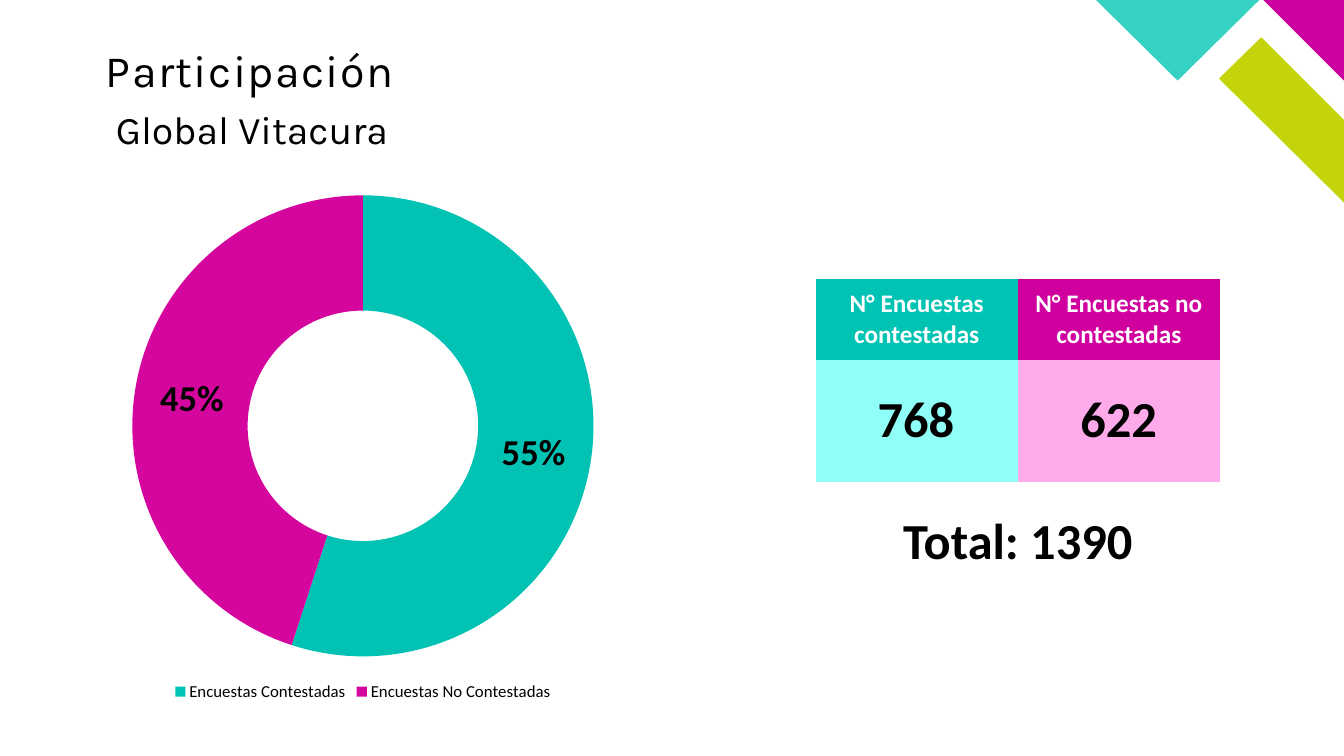
"""Build the Vitacura survey participation slide."""
from pptx import Presentation
from pptx.chart.data import CategoryChartData
from pptx.dml.color import RGBColor
from pptx.enum.chart import XL_CHART_TYPE, XL_LEGEND_POSITION
from pptx.enum.text import MSO_ANCHOR, MSO_AUTO_SIZE, PP_ALIGN
from pptx.util import Inches, Pt


def paint(target, color):
    target.fill.solid()
    target.fill.fore_color.rgb = RGBColor.from_string(color)


def write(frame, text, size, font="Calibri", color="000000", bold=False, align=PP_ALIGN.LEFT, spacing=0.9):
    para = frame.paragraphs[0]
    para.alignment = align
    para.line_spacing = spacing
    span = para.add_run()
    span.text = text
    span.font.name = font
    span.font.size = Pt(size)
    span.font.bold = bold
    span.font.color.rgb = RGBColor.from_string(color)
    return span


deck = Presentation()
deck.slide_width = Inches(13.33)
deck.slide_height = Inches(7.5)
page = deck.slides.add_slide(deck.slide_layouts[5])

corner_pieces = [
    ("C4D40A", [(13.33, 2.01), (13.33, 1.19), (12.51, 0.37), (12.09, 0.78)]),
    ("CE009F", [(13.33, 0.8), (13.33, 0), (12.53, 0)]),
    ("35D2C4", [(10.87, 0), (11.68, 0.8), (12.49, 0)]),
]
for color, points in corner_pieces:
    corners = [(Inches(x), Inches(y)) for x, y in points]
    builder = page.shapes.build_freeform(*corners[0])
    builder.add_line_segments(corners[1:], close=True)
    piece = builder.convert_to_shape()
    piece.shadow.inherit = False
    piece.line.fill.background()
    paint(piece, color)

title = page.shapes.title
title.left, title.top = Inches(1.05), Inches(0.48)
title.width, title.height = Inches(5.61), Inches(0.67)
frame = title.text_frame
frame.margin_left = frame.margin_right = frame.margin_top = frame.margin_bottom = 0
frame.auto_size = MSO_AUTO_SIZE.NONE
frame.vertical_anchor = MSO_ANCHOR.TOP
span = write(frame, "Participación", 32, "Karla")
span.font._element.set("spc", "100")

subtitle = page.shapes.add_textbox(Inches(1.05), Inches(1.05), Inches(9.78), Inches(0.96))
subtitle.text_frame.word_wrap = True
write(subtitle.text_frame, "Global Vitacura", 28, "Karla")

survey = CategoryChartData(number_format="0%")
survey.categories = ["Encuestas Contestadas", "Encuestas No Contestadas"]
survey.add_series("Series 1", (0.55, 0.45))
chart = page.shapes.add_chart(
    XL_CHART_TYPE.DOUGHNUT, Inches(1), Inches(1.8), Inches(5.2), Inches(5.2), survey
).chart
chart.has_title = False
chart.font.name = "Calibri"
chart.font.size = Pt(18)
chart.has_legend = True
chart.legend.position = XL_LEGEND_POSITION.BOTTOM
chart.legend.include_in_layout = False
chart.legend.font.size = Pt(12)
chart.legend.font.color.rgb = RGBColor.from_string("000000")
plot = chart.plots[0]
plot.vary_by_categories = True
for index, color in enumerate(["01C2B3", "D4069D"]):
    paint(plot.series[0].points[index].format, color)
labels = plot.series[0].data_labels
labels.show_value = True
labels.show_percentage = False
labels.show_category_name = False
labels.show_legend_key = False
labels.number_format = "0%"
labels.number_format_is_linked = False
labels.font.size = Pt(26)
labels.font.bold = True
labels.font.color.rgb = RGBColor.from_string("000000")

table_frame = page.shapes.add_table(2, 2, Inches(8.09), Inches(2.77), Inches(4.01), Inches(2.01))
table = table_frame.table
table._tbl.tblPr.find("{*}tableStyleId").text = "{2D5ABB26-0587-4C30-8999-92F81FD0307C}"
table.rows[0].height = Inches(0.8)
table.rows[1].height = Inches(1.21)
headings = [
    ("N° Encuestas contestadas", "00C3B3", "8FFFF7"),
    ("N° Encuestas no contestadas", "D0009E", "FFABEB"),
]
for column, (heading, heading_fill, count_fill) in enumerate(headings):
    cell = table.cell(0, column)
    cell.vertical_anchor = MSO_ANCHOR.MIDDLE
    paint(cell, heading_fill)
    write(cell.text_frame, heading, 18, color="FFFFFF", bold=True, align=PP_ALIGN.CENTER, spacing=1)
    paint(table.cell(1, column), count_fill)

figures = [("768", 8.09, 3.57, 1.99), ("622", 10.1, 3.57, 1.99), ("Total: 1390", 8.09, 4.78, 4.01)]
for text, left, top, width in figures:
    box = page.shapes.add_textbox(Inches(left), Inches(top), Inches(width), Inches(1.21))
    box.text_frame.word_wrap = True
    box.text_frame.vertical_anchor = MSO_ANCHOR.MIDDLE
    write(box.text_frame, text, 36, bold=True, align=PP_ALIGN.CENTER)

deck.save("out.pptx")
